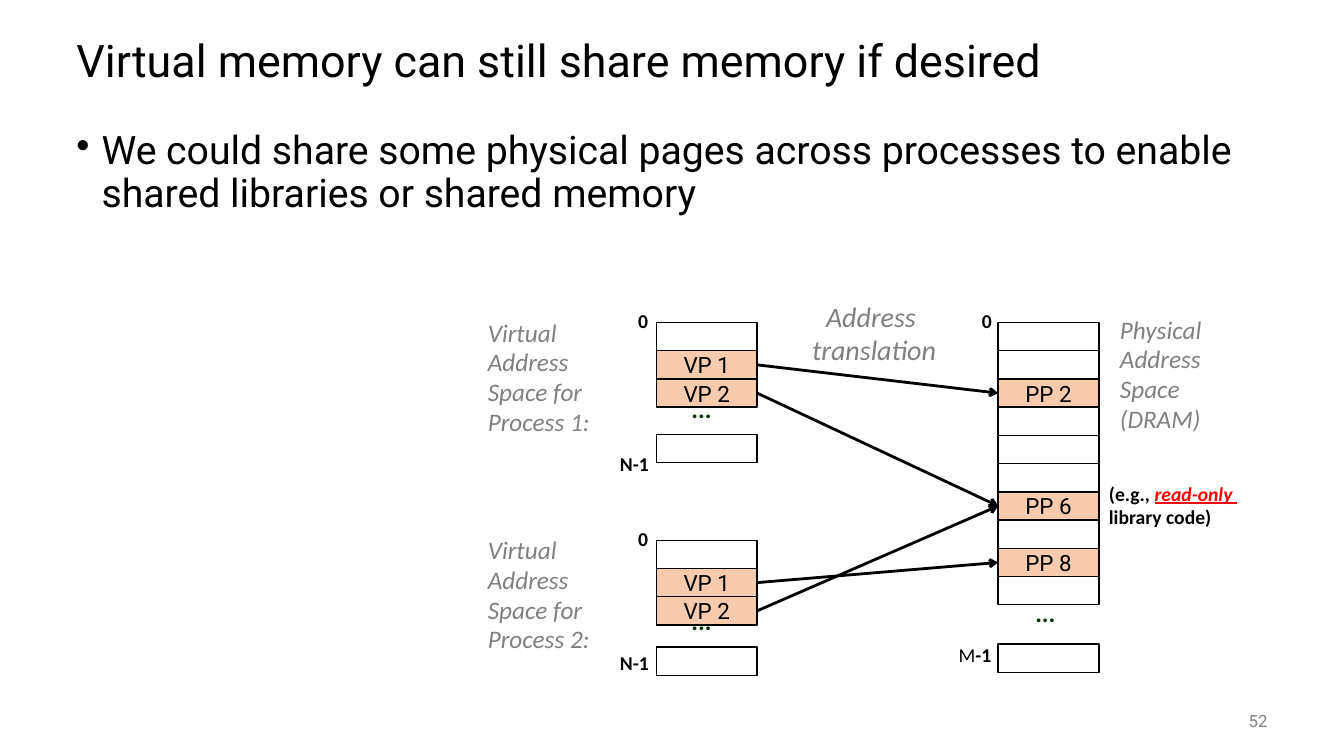
import dataclasses
import pptx
import pptx.dml.color
import pptx.enum.shapes
import pptx.enum.text
import pptx.oxml.ns
import pptx.util
from lxml import etree

Inches = pptx.util.Inches
Pt = pptx.util.Pt
Align = pptx.enum.text.PP_ALIGN
Anchor = pptx.enum.text.MSO_ANCHOR


@dataclasses.dataclass(frozen=True)
class Theme:
    black: str = "000000"
    gray: str = "808080"
    red: str = "FF0000"
    green: str = "003300"
    peach: str = "F8CBAD"
    main: str = "Roboto"
    note: str = "Calibri"
    title: int = 32
    body: int = 28
    head: int = 20
    label: int = 18
    cell: int = 16
    mark: int = 14
    page: int = 12


THEME = Theme()
PITCH = 0.28
WIDE = 1
LEFT = 6.51
RIGHT = 9.9
TOP = 3.2

PLAIN = {"name": THEME.main, "ink": THEME.black}
TITLE = {**PLAIN, "size": Pt(THEME.title)}
BODY = {**PLAIN, "size": Pt(THEME.body)}
CELL = {**PLAIN, "size": Pt(THEME.cell)}
PAGE = {**PLAIN, "size": Pt(THEME.page), "ink": THEME.gray}
LABEL = {"name": THEME.note, "size": Pt(THEME.label), "ink": THEME.gray, "italic": True}
HEAD = {**LABEL, "size": Pt(THEME.head)}
MARK = {"name": THEME.note, "size": Pt(THEME.mark), "ink": THEME.black, "bold": True}
DOTS = {**MARK, "size": Pt(THEME.label), "ink": THEME.green}


def color(code):
    return pptx.dml.color.RGBColor.from_string(code)


def style(font, form):
    for key, value in form.items():
        if key == "ink":
            font.color.rgb = color(value)
        else:
            setattr(font, key, value)


def write(frame, paras, form, align=Align.LEFT, space=1.0):
    for index, runs in enumerate(paras):
        para = frame.paragraphs[0] if index == 0 else frame.add_paragraph()
        para.alignment = align
        para.line_spacing = space
        for text, extra in [(runs, {})] if isinstance(runs, str) else runs:
            run = para.add_run()
            run.text = text
            style(run.font, {**form, **extra})


def add_text(slide, place, paras, form, wrap=True, anchor=Anchor.TOP, **flow):
    frame = slide.shapes.add_textbox(*map(Inches, place)).text_frame
    frame.word_wrap = wrap
    frame.vertical_anchor = anchor
    write(frame, paras, form, **flow)
    return frame


def add_bullet(para):
    props = para._p.get_or_add_pPr()
    props.set("marL", str(Inches(0.25)))
    props.set("indent", str(Inches(-0.25)))
    mark = etree.SubElement(props, pptx.oxml.ns.qn("a:buChar"))
    mark.set("char", "•")


def add_cell(slide, left, top, text=""):
    kind = pptx.enum.shapes.MSO_SHAPE.RECTANGLE
    cell = slide.shapes.add_shape(kind, *map(Inches, (left, top, WIDE, PITCH)))
    cell.shadow.inherit = False
    cell.line.color.rgb = color(THEME.black)
    cell.line.width = Pt(1)
    if not text:
        cell.fill.background()
        return
    cell.fill.solid()
    cell.fill.fore_color.rgb = color(THEME.peach)
    frame = cell.text_frame
    frame.vertical_anchor = Anchor.MIDDLE
    for side in ("left", "top", "right", "bottom"):
        setattr(frame, f"margin_{side}", 0)
    write(frame, [text], CELL, Align.CENTER)


def add_stack(slide, left, top, names, last):
    for row, name in enumerate(names):
        add_cell(slide, left, top + row * PITCH, name)
    add_cell(slide, left, last)


def add_arrow(slide, start, end):
    kind = pptx.enum.shapes.MSO_CONNECTOR.STRAIGHT
    line = slide.shapes.add_connector(kind, *map(Inches, (*start, *end)))
    line.line.color.rgb = color(THEME.black)
    line.line.width = Pt(2)
    tip = etree.SubElement(line.line._get_or_add_ln(), pptx.oxml.ns.qn("a:tailEnd"))
    tip.set("type", "arrow")
    etree.SubElement(line._element.spPr, pptx.oxml.ns.qn("a:effectLst"))


def middle(top, row):
    return top + (row + 0.5) * PITCH


def add_space(slide, number, top, last, end, dots, pages):
    text = f"Virtual Address Space for Process {number}:"
    add_text(slide, (4.74, top - 0.09, 1.5, 1.28), [text], LABEL, space=0.98)
    add_text(slide, (6.23, top - 0.17, 0.31, 0.33), ["0"], MARK, False, space=0.98)
    add_text(slide, (6.05, end, 0.49, 0.33), ["N-1"], MARK, False, space=0.98)
    add_stack(slide, LEFT, top, ["", "VP 1", "VP 2"], last)
    add_text(slide, (6.76, dots, 0.4, 0.36), ["..."], DOTS, False, space=0.88)
    for row, page in enumerate(pages, 1):
        start = (LEFT + WIDE, middle(top, row))
        add_arrow(slide, start, (RIGHT, middle(TOP, page)))


def add_memory(slide):
    shared = {2, 6, 8}
    names = [f"PP {row}" if row in shared else "" for row in range(10)]
    add_stack(slide, RIGHT, TOP, names, 6.39)
    add_text(slide, (10.17, 5.92, 0.4, 0.36), ["..."], DOTS, False, space=0.88)
    add_text(slide, (9.64, 3.03, 0.31, 0.33), ["0"], MARK, False, space=0.98)
    end = [("M", {"bold": False}), ("-1", {})]
    add_text(slide, (9.41, 6.34, 0.53, 0.33), [end], MARK, False, space=0.98)
    lines = ["Physical", "Address", "Space (DRAM)"]
    add_text(slide, (11.01, 3.08, 1.17, 1.29), lines, LABEL, space=0.98)
    accent = {"ink": THEME.red, "italic": True, "underline": True}
    lines = [[("(e.g., ", {}), ("read-only ", accent)], "library code)"]
    add_text(slide, (10.9, 4.74, 1.59, 0.56), lines, MARK, space=0.98)


def main():
    deck = pptx.Presentation()
    deck.slide_width = Inches(13.33)
    deck.slide_height = Inches(7.5)
    slide = deck.slides.add_slide(deck.slide_layouts[6])

    title = "Virtual memory can still share memory if desired"
    add_text(slide, (0.66, 0.25, 12, 0.75), [title], TITLE, anchor=Anchor.MIDDLE, space=0.9)
    point = (
        "We could share some physical pages across processes "
        "to enable shared libraries or shared memory"
    )
    body = add_text(slide, (0.66, 1.25, 12, 5.5), [point], BODY, space=0.9)
    add_bullet(body.paragraphs[0])
    add_text(slide, (11.67, 6.95, 1, 0.4), ["52"], PAGE, anchor=Anchor.MIDDLE, align=Align.RIGHT)

    add_memory(slide)
    add_space(slide, 1, TOP, 4.31, 4.45, 3.89, [2, 6])
    add_space(slide, 2, 5.36, 6.42, 6.42, 6, [8, 6])
    lines = ["Address ", "translation"]
    add_text(slide, (7.93, 2.92, 1.48, 0.77), lines, HEAD, False, align=Align.CENTER)
    deck.save("out.pptx")


if __name__ == "__main__":
    main()
